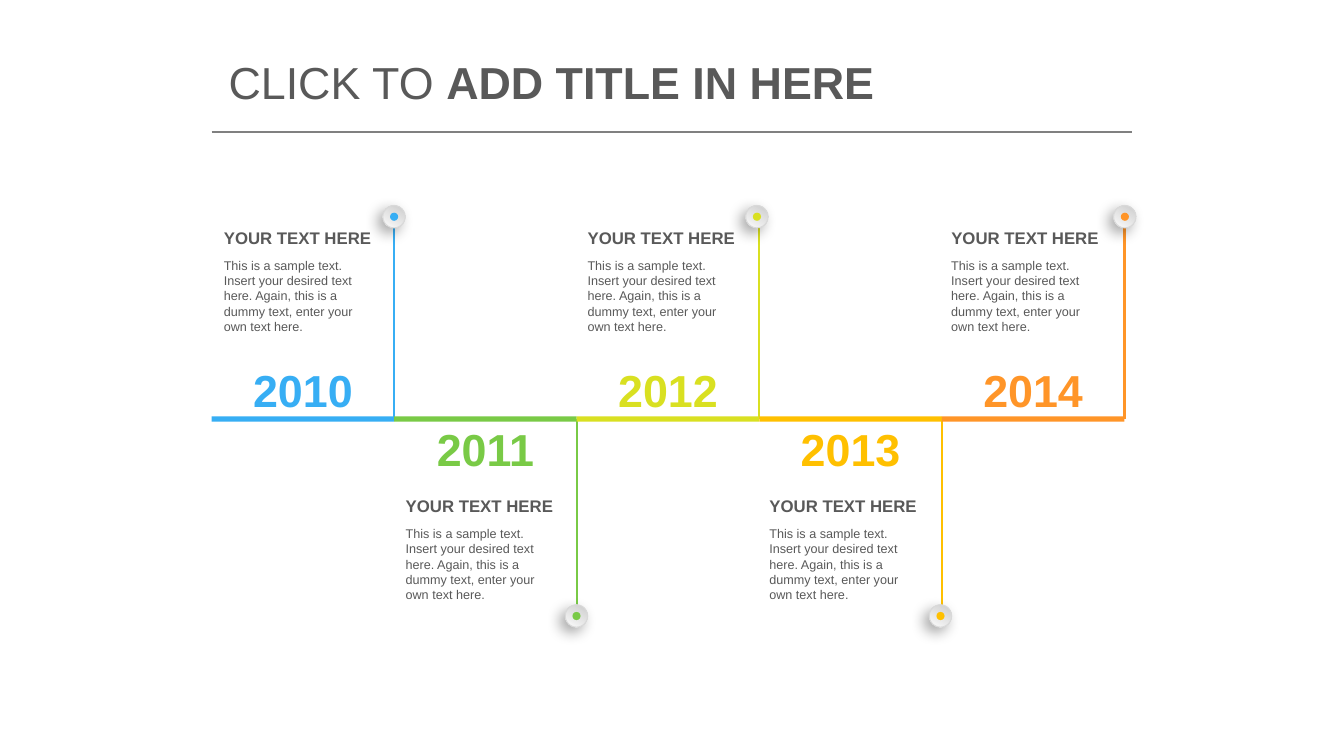
"""Builds a five-year timeline slide with alternating milestones."""
from lxml.etree import SubElement
from pptx import Presentation
from pptx.dml.color import RGBColor
from pptx.enum.shapes import MSO_CONNECTOR, MSO_SHAPE
from pptx.enum.text import MSO_ANCHOR, PP_ALIGN
from pptx.oxml.ns import qn
from pptx.util import Pt

COLORS = {
    "text": "595959", "rule": "808080", "rim": "D9D9D9",
    "pin_dark": "CCCCCC", "pin_light": "FCFCFC", "shadow": "000000",
    "blue": "37AEF4", "green": "79CA46", "lime": "D9E021",
    "amber": "FFC000", "orange": "FF9528",
}
MILESTONES = [
    ("2010", "blue", 281.5), ("2011", "green", 411.8), ("2012", "lime", 540.7),
    ("2013", "amber", 671.8), ("2014", "orange", 803.5),
]
HEADING = "YOUR TEXT HERE"
BODY = ("This is a sample text. Insert your desired text here. "
        "Again, this is a dummy text, enter your own text here.")
LEFT, PITCH, AXIS = 151.2, 130.4, 299.4
BODY_LEFT, BODY_PITCH = 152.8, 129.9


class TimelineSlide:
    def __init__(self, slide, font="Arial"):
        self.slide = slide
        self.font = font

    def color(self, name):
        return RGBColor.from_string(COLORS[name])

    def line(self, start, end, color, width):
        line = self.slide.shapes.add_connector(
            MSO_CONNECTOR.STRAIGHT, *map(Pt, start + end))
        line.line.color.rgb = self.color(color)
        line.line.width = Pt(width)
        SubElement(line._element.spPr, qn("a:effectLst"))

    def shape(self, kind, box, color):
        shape = self.slide.shapes.add_shape(kind, *map(Pt, box))
        shape.shadow.inherit = False
        shape.fill.solid()
        shape.fill.fore_color.rgb = self.color(color)
        shape.line.fill.background()
        return shape

    def text(self, box, runs, size, color="text", align=PP_ALIGN.LEFT,
             anchor=MSO_ANCHOR.TOP, pad=3.6):
        frame = self.slide.shapes.add_textbox(*map(Pt, box)).text_frame
        frame.word_wrap = True
        frame.vertical_anchor = anchor
        frame.margin_top = frame.margin_bottom = Pt(pad)
        paragraph = frame.paragraphs[0]
        paragraph.alignment = align
        paragraph.font.name = self.font
        paragraph.font.size = Pt(size)
        paragraph.font.color.rgb = self.color(color)
        for words, bold in runs:
            run = paragraph.add_run()
            run.text = words
            run.font.bold = bold

    def pin(self, x, y, color):
        disc = self.shape(MSO_SHAPE.OVAL, (x - 8, y - 8, 16, 16), "pin_light")
        disc.fill.gradient()
        disc.fill.gradient_angle = 240
        for stop, shade, position in zip(
                disc.fill.gradient_stops, ("pin_dark", "pin_light"), (0, 1)):
            stop.color.rgb = self.color(shade)
            stop.position = position
        disc.line.color.rgb = self.color("rim")
        disc.line.width = Pt(0.75)
        effects = disc._element.spPr.find(qn("a:effectLst"))
        shadow = SubElement(
            effects, qn("a:outerShdw"), blurRad=str(Pt(10)), dist=str(Pt(5)),
            dir=str(136 * 60000), algn="ctr", rotWithShape="0")
        tint = SubElement(shadow, qn("a:srgbClr"), val=COLORS["shadow"])
        SubElement(tint, qn("a:alpha"), val="34000")
        self.shape(MSO_SHAPE.OVAL, (x - 2.9, y - 2.9, 5.8, 5.8), color)

    def milestone(self, index, year, color, pin_x):
        above = index % 2 == 0
        left = LEFT + index * PITCH
        body_left = BODY_LEFT + index * BODY_PITCH
        stem_x = left + PITCH
        year_top, heading_top, stem_end, pin_y = (
            (255.6, 162.7, 159.1, 154.8) if above
            else (297.4, 354.2, 439.2, 440))
        self.shape(MSO_SHAPE.RECTANGLE, (left, AXIS - 2, PITCH, 3.8), color)
        self.line((stem_x, AXIS), (stem_x, stem_end), color, 1.5)
        self.text((left, year_top, PITCH, 46), [(year, True)], 32, color,
                  align=PP_ALIGN.CENTER)
        self.text((body_left, heading_top + 21.6, 117.4, 64),
                  [(BODY, False)], 9, pad=0)
        self.text((body_left, heading_top, 128.9, 20),
                  [(HEADING, True)], 12, pad=0)
        self.pin(pin_x, pin_y, color)


def main():
    deck = Presentation()
    deck.slide_width, deck.slide_height = Pt(960), Pt(540)
    timeline = TimelineSlide(deck.slides.add_slide(deck.slide_layouts[6]))
    timeline.line((LEFT, 94.3), (808.6, 94.3), "rule", 0.75)
    timeline.text((156.2, 21.6, 648, 72.7),
                  [("CLICK TO ", False), ("ADD TITLE IN HERE", True)], 32,
                  anchor=MSO_ANCHOR.MIDDLE)
    for index, milestone in enumerate(MILESTONES):
        timeline.milestone(index, *milestone)
    deck.save("out.pptx")


if __name__ == "__main__":
    main()
